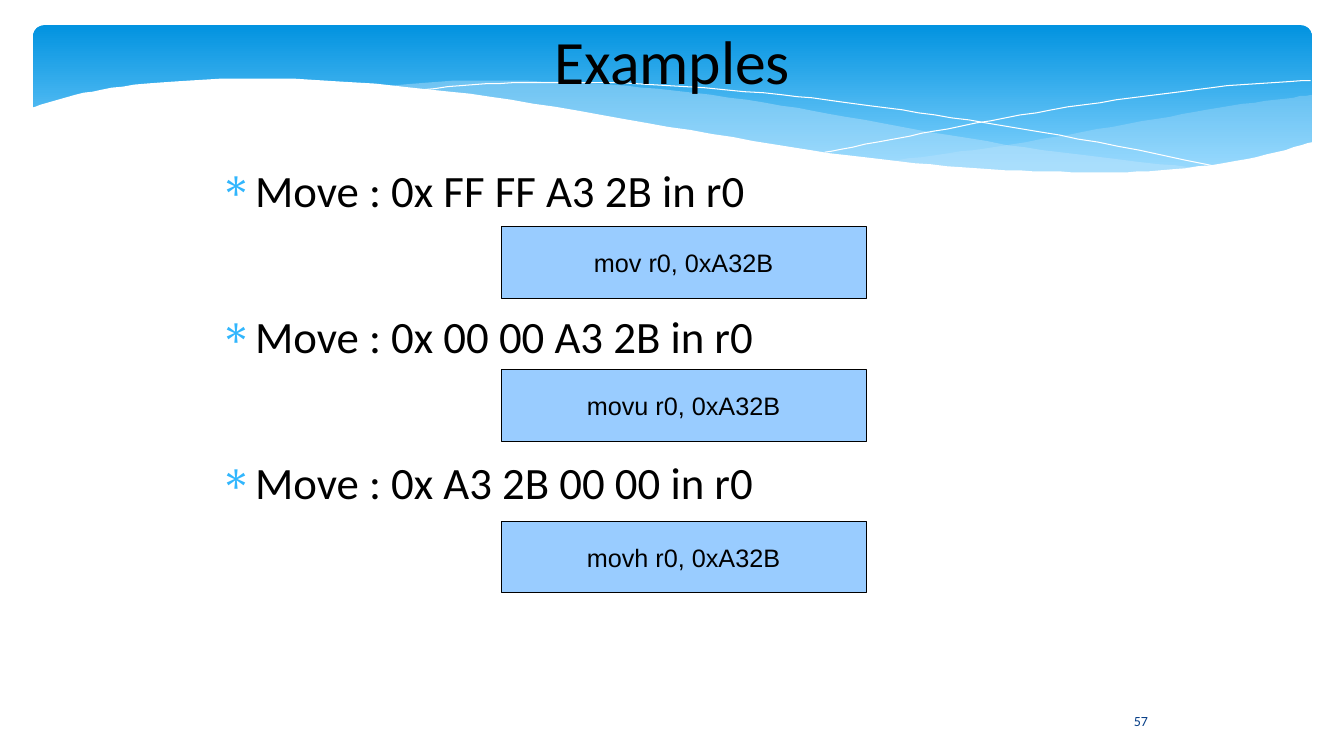
from typing import NamedTuple, Optional

from lxml import etree
from pptx import Presentation
from pptx.dml.color import RGBColor
from pptx.enum.shapes import MSO_SHAPE
from pptx.enum.text import MSO_ANCHOR, PP_ALIGN
from pptx.oxml.ns import qn
from pptx.util import Emu, Pt

PX = 9144  # 100 px to the inch
RECT, ROUNDED = MSO_SHAPE.RECTANGLE, MSO_SHAPE.ROUNDED_RECTANGLE
TOP, MIDDLE = MSO_ANCHOR.TOP, MSO_ANCHOR.MIDDLE
LEFT, CENTER = PP_ALIGN.LEFT, PP_ALIGN.CENTER
Points = list[tuple[float, float]]


class Wave(NamedTuple):
    upper: Points  # left to right
    lower: Points  # right to left, empty for an open line
    fill: Optional[str] = None
    alpha: int = 100


class Example(NamedTuple):
    task: str
    code: str
    top: int


WAVES = [
    Wave([(882, 160), (941, 152), (1005, 143), (1073, 131), (1147, 118),
          (1208, 107), (1265, 99), (1301, 94)],
         [(1301, 142), (1247, 156), (1186, 166), (1126, 171), (1056, 172),
          (976, 168), (882, 160)], "C6E7FC", 29),
    Wave([(382, 86), (437, 81), (506, 80), (589, 83), (669, 90), (759, 102),
          (839, 116), (941, 134), (1034, 149), (1116, 159), (1190, 167)],
         [(1190, 167), (1131, 172), (1061, 173), (981, 169), (907, 163),
          (824, 153), (755, 143), (654, 126), (569, 110), (483, 97),
          (431, 90), (382, 86)], "C6E7FC", 40),
    Wave([(412, 90), (470, 84), (535, 82), (600, 82), (680, 86), (775, 94),
          (848, 103), (927, 114), (1014, 128), (1108, 145), (1210, 166)], []),
    Wave([(818, 151), (870, 141), (927, 130), (997, 117), (1075, 104),
          (1155, 93), (1232, 84), (1300, 80)], []),
    Wave([(31, 107), (61, 98), (101, 89), (158, 82), (235, 78), (306, 79),
          (390, 85), (486, 96), (596, 114), (706, 133), (804, 149),
          (891, 160), (969, 167), (1037, 170), (1097, 171), (1151, 169),
          (1213, 162), (1266, 151), (1302, 141)],
         [(1302, 224), (31, 224)], "FFFFFF"),
]
EXAMPLES = [
    Example("Move : 0x FF FF A3 2B in r0", "mov r0, 0xA32B", 225),
    Example("Move : 0x 00 00 A3 2B in r0", "movu r0, 0xA32B", 367),
    Example("Move : 0x A3 2B 00 00 in r0", "movh r0, 0xA32B", 517),
]


def rgb(color: str) -> RGBColor:
    return RGBColor.from_string(color)


def px(*lengths: int) -> list[Emu]:
    return [Emu(n * PX) for n in lengths]


def smooth(points: Points, steps: int = 5) -> Points:
    """Run a Catmull-Rom curve through the points."""
    if len(points) < 3:
        return points
    ends = [points[0], *points, points[-1]]
    curve = [points[0]]
    for a, b, c, d in zip(ends, ends[1:], ends[2:], ends[3:]):
        for i in range(1, steps + 1):
            t = i / steps
            x, y = (
                (2 * q + (r - p) * t + (2 * p - 5 * q + 4 * r - s) * t**2
                 + (3 * q - p - 3 * r + s) * t**3) / 2
                for p, q, r, s in zip(a, b, c, d)
            )
            curve.append((x, y))
    return curve


def draw_wave(shapes, wave: Wave) -> None:
    outline = smooth(wave.upper) + smooth(wave.lower)
    builder = shapes.build_freeform(*outline[0], scale=PX)
    builder.add_line_segments(outline[1:], close=bool(wave.lower))
    s = builder.convert_to_shape()
    s.shadow.inherit = False
    if wave.fill is None:
        s.fill.background()
        s.line.color.rgb = rgb("FFFFFF")
        s.line.width = Pt(0)
        return
    s.fill.solid()
    s.fill.fore_color.rgb = rgb(wave.fill)
    s.line.fill.background()
    if wave.alpha < 100:
        color = s._element.spPr.find(".//" + qn("a:srgbClr"))
        etree.SubElement(color, qn("a:alpha"), val=str(wave.alpha * 1000))


def draw_banner(shapes) -> None:
    s = shapes.add_shape(ROUNDED, *px(33, 25, 1268, 156))
    s.adjustments[0] = 0.07
    s.shadow.inherit = False
    s.line.fill.background()
    s.fill.gradient()
    s.fill.gradient_angle = 270
    stops = zip(s.fill.gradient_stops, ((0, "0293E0"), (0.9, "83D3FE")))
    for stop, (position, color) in stops:
        stop.position = position
        stop.color.rgb = rgb(color)


def set_text(s, lines: list[str], size: int, font: str = "Calibri",
             color: str = "000000", align=CENTER, anchor=MIDDLE,
             wrap: bool = True, insets=(0, 0)):
    tf = s.text_frame
    tf.word_wrap = wrap
    tf.vertical_anchor = anchor
    tf.margin_left, tf.margin_top = tf.margin_right, tf.margin_bottom = px(*insets)
    tf.text = "\n".join(lines)
    for p in tf.paragraphs:
        p.alignment = align
        for r in p.runs:
            r.font.name, r.font.size = font, Pt(size)
            r.font.color.rgb = rgb(color)
    return tf


def add_bullet(p, color: str, mark: str = "∗") -> None:
    pPr = p._p.get_or_add_pPr()
    pPr.set("marL", str(47 * PX))
    pPr.set("indent", str(-35 * PX))
    bullet_color = etree.SubElement(pPr, qn("a:buClr"))
    etree.SubElement(bullet_color, qn("a:srgbClr"), val=color)
    etree.SubElement(pPr, qn("a:buChar"), char=mark)


def draw_code_box(shapes, example: Example) -> None:
    s = shapes.add_shape(RECT, *px(497, example.top, 362, 71))
    s.shadow.inherit = False
    s.fill.solid()
    s.fill.fore_color.rgb = rgb("99CCFF")
    s.line.color.rgb = rgb("000000")
    s.line.width = Pt(0)
    set_text(s, [example.code], 18, font="Arial", wrap=False, insets=(10, 5))


def main() -> None:
    prs = Presentation()
    prs.slide_width, prs.slide_height = px(1333, 750)
    shapes = prs.slides.add_slide(prs.slide_layouts[6]).shapes

    # Banner with waves
    draw_banner(shapes)
    for wave in WAVES:
        draw_wave(shapes, wave)

    # Slide number and title
    number = shapes.add_textbox(*px(1101, 695, 61, 40))
    set_text(number, ["57"], 10, color="073E87", insets=(10, 5))
    title = shapes.add_textbox(*px(192, 8, 950, 102))
    set_text(title, ["Examples"], 44)

    # Bulleted tasks, spaced to leave room for the code boxes
    body = shapes.add_textbox(*px(200, 158, 942, 495))
    tf = set_text(body, [e.task for e in EXAMPLES], 32, align=LEFT,
                  anchor=TOP, insets=(6, 3))
    for p in tf.paragraphs:
        p.space_after = Pt(66)
        add_bullet(p, "31B6FD")

    # Code boxes
    for example in EXAMPLES:
        draw_code_box(shapes, example)

    prs.save("out.pptx")


if __name__ == "__main__":
    main()
